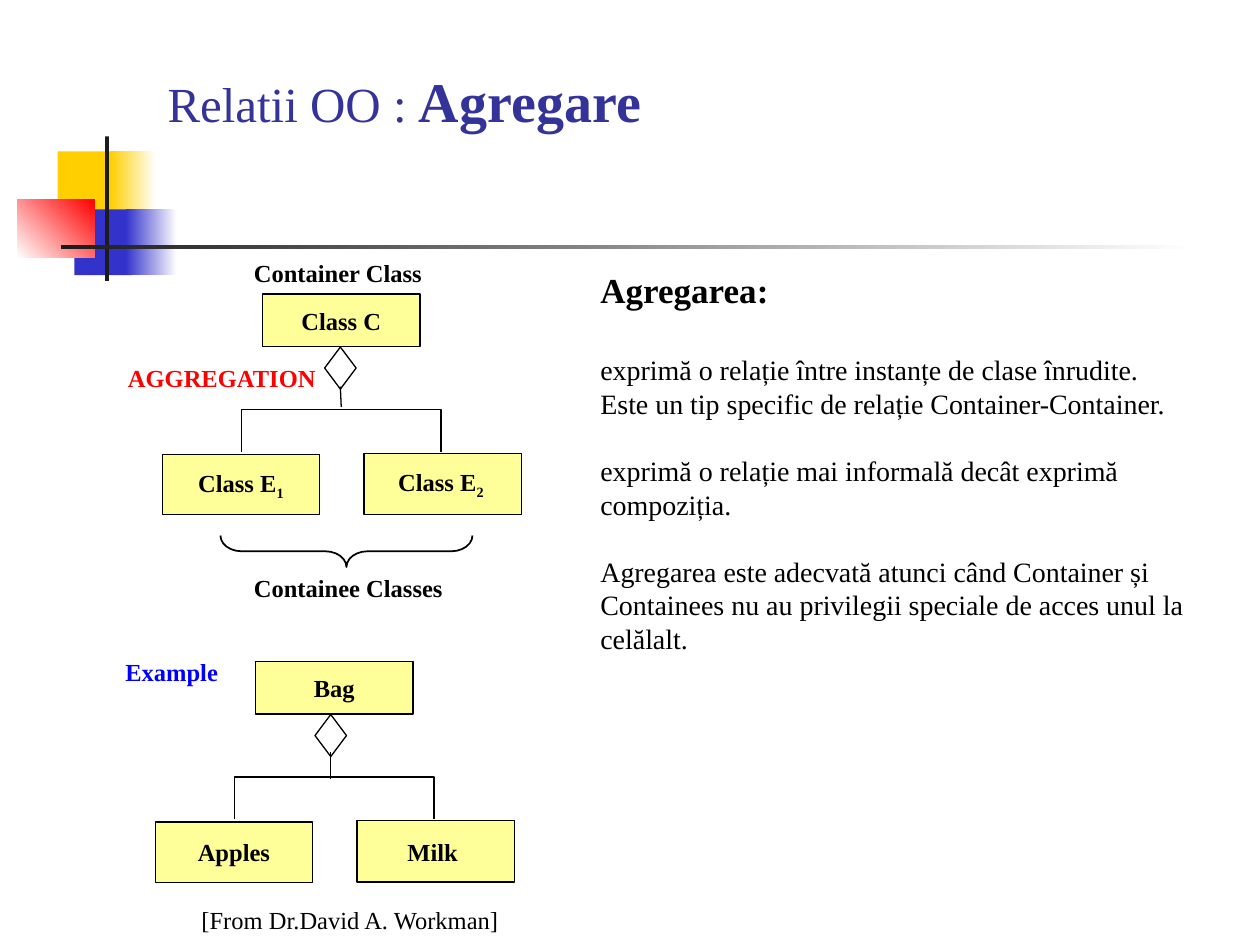
import pptx
import pptx.util
import pptx.dml.color
import pptx.enum.shapes
import pptx.enum.text
import lxml.etree

Pt = pptx.util.Pt
Shape = pptx.enum.shapes.MSO_SHAPE
Align = pptx.enum.text.PP_ALIGN
Anchor = pptx.enum.text.MSO_ANCHOR
Fit = pptx.enum.text.MSO_AUTO_SIZE
HUES = {"black": "000000", "white": "FFFFFF", "gold": "FFCF01", "blue": "3333CC",
        "red": "FF0000", "dark": "1C1C1C", "title": "333399", "box": "FFFF99",
        "link": "0000FF"}


def tint(name):
    return pptx.dml.color.RGBColor.from_string(HUES[name])


class Deck:
    """Holds the text style and the current slide, and draws its elements."""

    def __init__(self, slide, face="Times New Roman", size=14, edge=0.75):
        self.slide, self.face, self.size, self.edge = slide, face, size, edge

    def style(self, font, size=None, hue="black", bold=True):
        font.name, font.size, font.bold = self.face, Pt(size or self.size), bold
        font.color.rgb = tint(hue)

    def form(self, kind, area, fill=None, line=None):
        item = self.slide.shapes.add_shape(kind, *map(Pt, area))
        self.paint(item, fill, line)
        return item

    def paint(self, item, fill, line):
        item.shadow.inherit = False
        if fill:
            item.fill.solid()
            item.fill.fore_color.rgb = tint(fill)
        else:
            item.fill.background()
        if line:
            item.line.color.rgb = tint("black")
            item.line.width = Pt(line)
        else:
            item.line.fill.background()

    def fade(self, area, start, end, angle=0):
        item = self.form(Shape.RECTANGLE, area)
        item.fill.gradient()
        item.fill.gradient_angle = angle
        for stop, hue in zip(item.fill.gradient_stops, (start, end)):
            stop.color.rgb = tint(hue)

    def text(self, area, words="", **look):
        frame = self.slide.shapes.add_textbox(*map(Pt, area)).text_frame
        frame.word_wrap = True
        frame.auto_size = Fit.SHAPE_TO_FIT_TEXT
        para = frame.paragraphs[0]
        para.text = words
        self.style(para.font, **look)
        return frame

    def title(self, area, parts):
        frame = self.text(area)
        frame.auto_size = Fit.NONE
        frame.vertical_anchor = Anchor.MIDDLE
        for words, size, bold in parts:
            run = frame.paragraphs[0].add_run()
            run.text = words
            self.style(run.font, size, "title", bold)

    def essay(self, area, head, body):
        frame = self.text(area, head, size=20)
        gap = 24
        for words in body:
            para = frame.add_paragraph()
            para.text = words
            para.line_spacing, para.space_before = Pt(19.2), Pt(gap)
            self.style(para.font, 16, bold=False)
            gap = 19.2

    def box(self, area, name, sub=""):
        frame = self.form(Shape.RECTANGLE, area, "box", self.edge).text_frame
        frame.word_wrap = False
        frame.vertical_anchor = Anchor.MIDDLE
        para = frame.paragraphs[0]
        para.alignment = Align.CENTER
        para.add_run().text = name
        if sub:
            run = para.add_run()
            run.text = sub
            run.font._element.set("baseline", "-25000")
        self.style(para.font)

    def fork(self, x, y, wide, high):
        pen = self.slide.shapes.build_freeform(Pt(x), Pt(y + high))
        spots = [(x, y), (x + wide, y), (x + wide, y + high)]
        pen.add_line_segments([(Pt(a), Pt(b)) for a, b in spots], close=False)
        self.paint(pen.convert_to_shape(), None, self.edge)

    def stem(self, ends):
        line = self.slide.shapes.add_connector(
            pptx.enum.shapes.MSO_CONNECTOR.STRAIGHT, *map(Pt, ends))
        line.line.color.rgb = tint("black")
        line.line.width = Pt(self.edge)
        lxml.etree.SubElement(line._element.spPr, pptx.oxml.ns.qn("a:effectLst"))

    def tree(self, x, y, whole, left, right, stem):
        self.box((x, y, 90, 30), *whole)
        self.box((x - 57.3, y + 91.7, 90, 34.5), *left)
        self.box((x + 58, y + 91, 90, 35), *right)
        self.fork(x - 12, y + 66, 114, 24)
        self.stem(stem)
        self.form(Shape.DIAMOND, (stem[0] - 9, y + 30.3, 18, 24), line=self.edge)

    def brace(self, area):
        item = self.form(Shape.LEFT_BRACE, area, line=1)
        item.rotation = 270
        item.adjustments[0] = 0.67


def main():
    show = pptx.Presentation()
    show.slide_width, show.slide_height = Pt(720), Pt(540)
    deck = Deck(show.slides.add_slide(show.slide_layouts[6]))

    deck.form(Shape.RECTANGLE, (33, 86.5, 34.5, 37.5), "gold")
    deck.fade((63, 86.5, 26, 37.5), "gold", "white")
    deck.form(Shape.RECTANGLE, (42.5, 119.7, 33, 37.5), "blue")
    deck.fade((72, 119.7, 29, 37.5), "blue", "white")
    deck.fade((10, 113.8, 44, 33.5), "white", "red", 45)
    deck.form(Shape.RECTANGLE, (60, 78, 2.3, 82.5), "dark")
    deck.fade((34.7, 140, 648, 2.5), "dark", "white")

    deck.title((88.7, 36, 612, 42),
               [("Relatii OO : ", 28, False), ("Agregare", 32, True)])
    deck.tree(150, 168, ("Class C",), ("Class E", "1"), ("Class E", "2 "),
              (194.5, 221, 195, 232.5))
    deck.text((66, 204, 128, 24.5), "AGGREGATION", hue="red")
    deck.text((138, 144, 118, 24.5), "Container Class")
    deck.text((138, 324, 130, 24.5), "Containee Classes")
    deck.brace((189, 243, 18, 144))
    deck.tree(146, 378, ("Bag",), ("Apples",), ("Milk ",), (189, 430, 189, 445))
    deck.text((64.5, 372, 76, 24.5), "Example", hue="link")
    deck.essay((336, 150, 348, 228), "Agregarea:", [
        "exprimă o relație între instanțe de clase înrudite. "
        "Este un tip specific de relație Container-Container.",
        "exprimă o relație mai informală decât exprimă compoziția.",
        "Agregarea este adecvată atunci când Container și Containees "
        "nu au privilegii speciale de acces unul la celălalt."])
    deck.text((108, 513.4, 212, 24.5), "[From Dr.David A. Workman]", bold=False)
    show.save("out.pptx")


if __name__ == "__main__":
    main()
